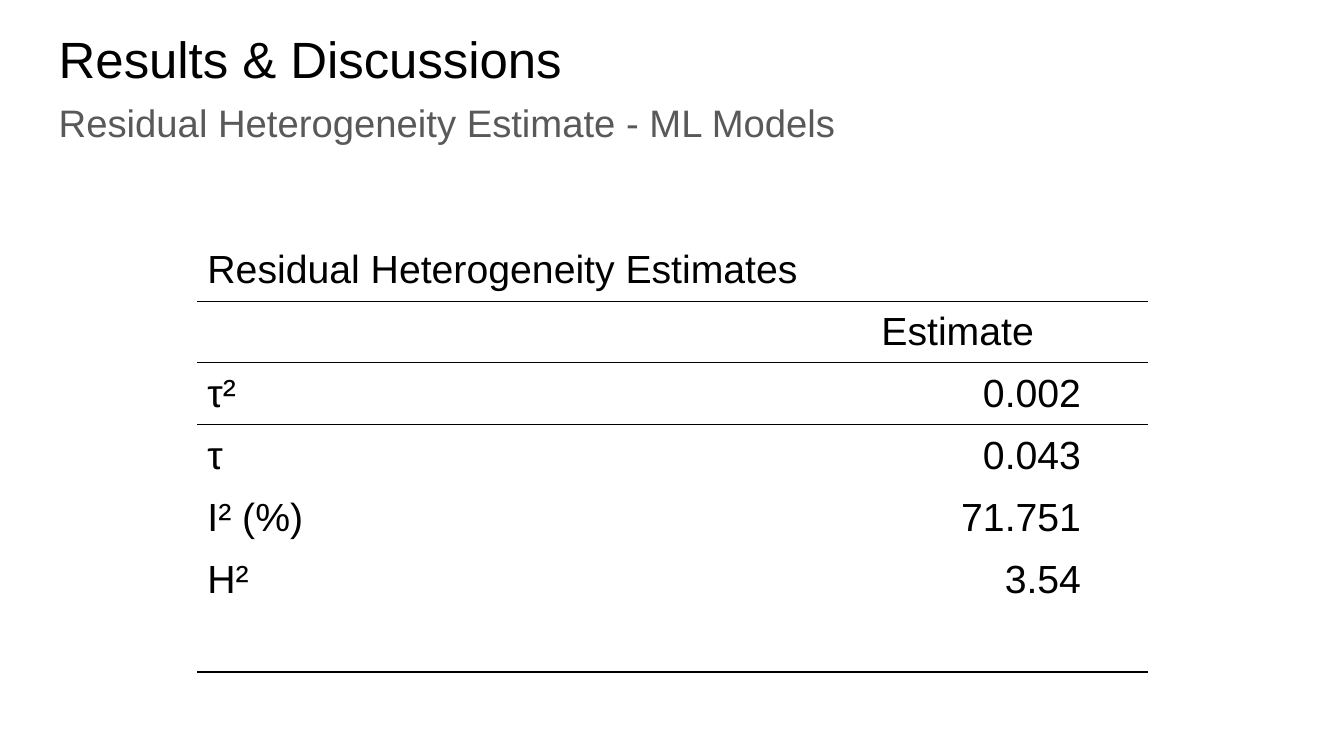
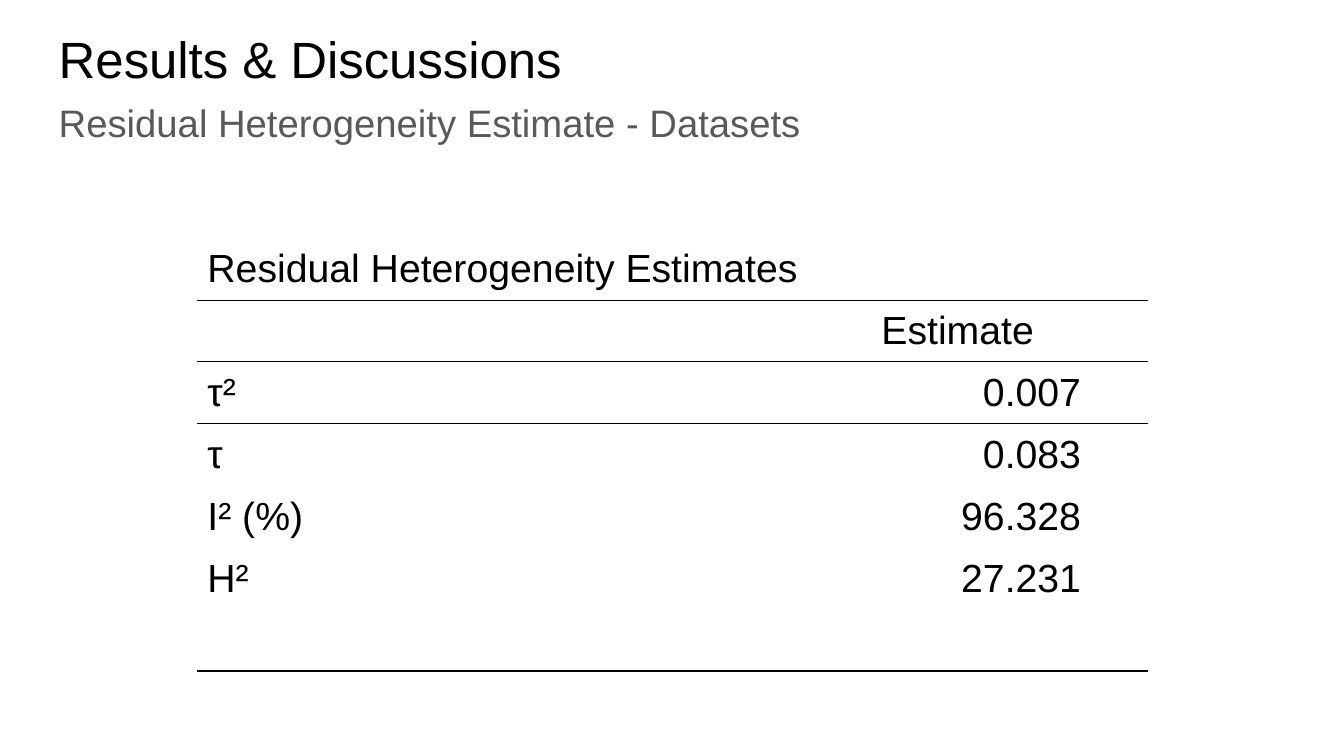
import pptx
import pptx.dml.color
import pptx.enum.text
import pptx.oxml
import pptx.oxml.ns
import pptx.util
from pptx.util import Cm

BLACK = pptx.dml.color.RGBColor(0x00, 0x00, 0x00)
GREY = pptx.dml.color.RGBColor(0x59, 0x59, 0x59)
FONT = "Arial"
PLAIN_TABLE_STYLE = "{2D5ABB26-0587-4C30-8999-92F81FD0307C}"

LEFT = pptx.enum.text.PP_ALIGN.LEFT
CENTER = pptx.enum.text.PP_ALIGN.CENTER
RIGHT = pptx.enum.text.PP_ALIGN.RIGHT

HEADING_LEFT, HEADING_WIDTH, HEADING_HEIGHT = Cm(0.86), Cm(23.67), Cm(1.6)
TABLE_LEFT = Cm(3.73)
COLUMN_WIDTHS = [Cm(6.3), Cm(1.07), Cm(9.52), Cm(1.07)]
ROW_HEIGHT = Cm(1.17)
ROW_COUNT = 7
ESTIMATE_INDENT = Cm(3.6)

# Row index: width in points of the rule below that row
RULES = {0: 0.6, 1: 0.6, ROW_COUNT - 1: 1.2}
MEASURES = ["τ²", "τ", "I² (%)", "H²"]
SLIDES = [
    ("ML Models", Cm(4.52), ["0.002", "0.043", "71.751", "3.54"]),
    ("Datasets", Cm(4.5), ["0.007", "0.083", "96.328", "27.231"]),
]


def write(frame, text, size, color, align=LEFT):
    frame.text = text
    para = frame.paragraphs[0]
    para.alignment = align
    span = para.runs[0]
    span.font.name = FONT
    span.font.size = pptx.util.Pt(size)
    span.font.color.rgb = color


def add_rule(cell, side, width):
    """Draw a black border on one side of a cell; side is lnT or lnB."""
    line = pptx.oxml.parse_xml(
        f'<a:{side} {pptx.oxml.ns.nsdecls("a")} w="{pptx.util.Pt(width)}">'
        f'<a:solidFill><a:srgbClr val="{BLACK}"/></a:solidFill></a:{side}>'
    )
    properties = cell._tc.get_or_add_tcPr()
    properties.insert(len(properties.findall(pptx.oxml.ns.qn("a:lnT"))), line)


deck = pptx.Presentation()
deck.slide_width = Cm(25.4)
deck.slide_height = Cm(14.29)
title_only = deck.slide_layouts[5]

for subject, table_top, estimates in SLIDES:
    page = deck.slides.add_slide(title_only)

    title = page.shapes.title
    title.left, title.top = HEADING_LEFT, Cm(0.41)
    title.width, title.height = HEADING_WIDTH, HEADING_HEIGHT
    subtitle = page.shapes.add_textbox(
        HEADING_LEFT, Cm(1.63), HEADING_WIDTH, HEADING_HEIGHT
    )
    for box, text, size, color in [
        (title, "Results & Discussions", 27.3, BLACK),
        (subtitle, f"Residual Heterogeneity Estimate - {subject}", 20.5, GREY),
    ]:
        frame = box.text_frame
        frame.word_wrap = True
        frame.auto_size = pptx.enum.text.MSO_AUTO_SIZE.NONE
        frame.vertical_anchor = pptx.enum.text.MSO_ANCHOR.TOP
        frame.margin_left = frame.margin_right = Cm(0.25)
        frame.margin_top = frame.margin_bottom = Cm(0.25)
        write(frame, text, size, color)
    title.text_frame.paragraphs[0].line_spacing = 0.9

    table_frame = page.shapes.add_table(
        ROW_COUNT, len(COLUMN_WIDTHS), TABLE_LEFT, table_top,
        sum(COLUMN_WIDTHS), ROW_HEIGHT * ROW_COUNT,
    )
    table = table_frame.table
    table.first_row = table.horz_banding = False
    table._tbl.tblPr.find(pptx.oxml.ns.qn("a:tableStyleId")).text = PLAIN_TABLE_STYLE
    for column, width in zip(table.columns, COLUMN_WIDTHS):
        column.width = width

    for row_index, row in enumerate(table.rows):
        row.height = ROW_HEIGHT
        for cell in row.cells:
            cell.fill.background()
            cell.vertical_anchor = pptx.enum.text.MSO_ANCHOR.MIDDLE
            cell.margin_left = cell.margin_right = Cm(0.19)
            cell.margin_top = cell.margin_bottom = Cm(0.1)
            if row_index - 1 in RULES:
                add_rule(cell, "lnT", RULES[row_index - 1])
            if row_index in RULES:
                add_rule(cell, "lnB", RULES[row_index])

    for row_index, first, last in [(0, 0, 3), (1, 0, 1), (1, 2, 3), (ROW_COUNT - 1, 0, 3)]:
        table.cell(row_index, first).merge(table.cell(row_index, last))

    entries = [
        (0, 0, "Residual Heterogeneity Estimates", LEFT),
        (1, 2, "Estimate", CENTER),
    ]
    for row_index, (measure, estimate) in enumerate(zip(MEASURES, estimates), start=2):
        entries += [(row_index, 0, measure, LEFT), (row_index, 2, estimate, RIGHT)]
    for row_index, column_index, text, align in entries:
        write(table.cell(row_index, column_index).text_frame, text, 21, BLACK, align)
    table.cell(1, 2).margin_left = ESTIMATE_INDENT

deck.save("out.pptx")
